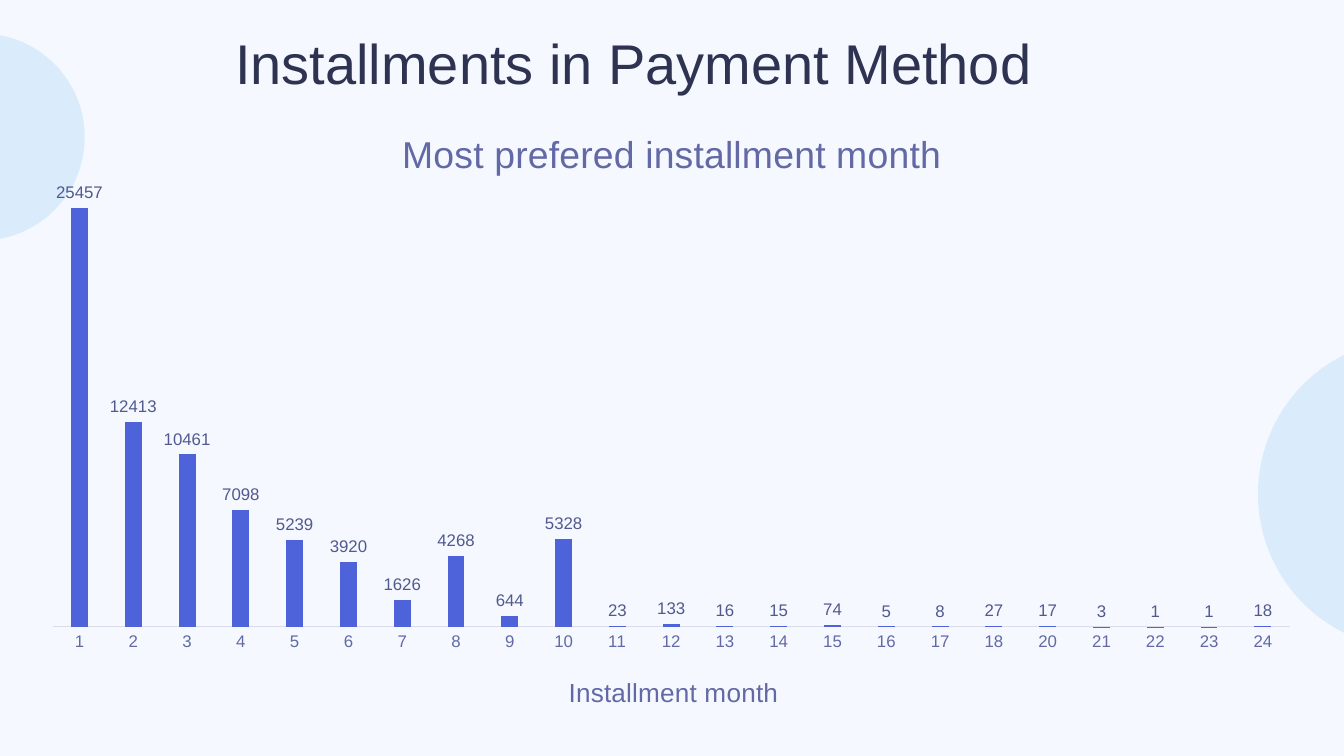
from lxml.etree import SubElement
from pptx import Presentation
from pptx.chart.data import CategoryChartData
from pptx.dml.color import RGBColor
from pptx.enum.chart import XL_CHART_TYPE, XL_LABEL_POSITION, XL_TICK_MARK
from pptx.enum.shapes import MSO_SHAPE
from pptx.enum.text import MSO_ANCHOR, MSO_AUTO_SIZE, PP_ALIGN
from pptx.oxml import parse_xml
from pptx.oxml.ns import nsdecls, qn
from pptx.util import Inches, Pt

FONT = "Arial"
COLORS = {
    "background": "F5F9FF",
    "circle": "76B8F4",
    "title": "2F3352",
    "chart_text": "6269A5",
    "label": "52598F",
    "bar": "4E63D9",
    "axis": "DBDCEA",
}
MONTHS = [month for month in range(1, 25) if month != 19]
ORDERS = [25457, 12413, 10461, 7098, 5239, 3920, 1626, 4268, 644, 5328, 23, 133,
          16, 15, 74, 5, 8, 27, 17, 3, 1, 1, 18]


def color(name):
    return RGBColor.from_string(COLORS[name])


def style_font(font, size, color_name):
    font.name = FONT
    font.size = Pt(size)
    font.bold = False
    font.color.rgb = color(color_name)


def add_circle(slide, left, top, diameter):
    circle = slide.shapes.add_shape(
        MSO_SHAPE.OVAL, Inches(left), Inches(top), Inches(diameter), Inches(diameter))
    circle.shadow.inherit = False
    circle.fill.solid()
    circle.fill.fore_color.rgb = color("circle")
    circle.line.fill.background()
    fill_color = circle.element.spPr.find(qn("a:solidFill"))[0]
    SubElement(fill_color, qn("a:alpha")).set("val", "21000")
    slide.shapes.title.element.addprevious(circle.element)


def set_title(slide, text):
    title = slide.shapes.title
    title.left, title.top = Inches(1.65), Inches(0.11)
    title.width, title.height = Inches(8.43), Inches(0.63)
    frame = title.text_frame
    frame.text = text
    frame.auto_size = MSO_AUTO_SIZE.NONE
    frame.vertical_anchor = MSO_ANCHOR.TOP
    frame.margin_left = frame.margin_right = Inches(0.1)
    frame.margin_top = frame.margin_bottom = Inches(0.1)
    paragraph = frame.paragraphs[0]
    paragraph.alignment = PP_ALIGN.LEFT
    style_font(paragraph.font, 30, "title")


def set_layout(element, index, **values):
    for layout in element.findall(qn("c:layout")):
        element.remove(layout)
    layout = parse_xml(f"<c:layout {nsdecls('c')}><c:manualLayout/></c:layout>")
    for name, value in values.items():
        SubElement(layout[0], qn(f"c:{name}")).set("val", str(value))
    element.insert(index, layout)


def set_chart_title(title, text, size, x, y):
    title.text_frame.text = text
    style_font(title.text_frame.paragraphs[0].font, size, "chart_text")
    set_layout(title._element, 1, xMode="edge", yMode="edge", x=x, y=y)


def style_axes(chart):
    category_axis = chart.category_axis
    category_axis.major_tick_mark = XL_TICK_MARK.NONE
    category_axis.has_major_gridlines = False
    category_axis.format.line.color.rgb = color("axis")
    category_axis.format.line.width = Pt(0.75)
    style_font(category_axis.tick_labels.font, 9, "chart_text")
    set_chart_title(category_axis.axis_title, "Installment month", 14, 0.416, 0.91)
    value_axis = chart.value_axis
    value_axis.visible = False
    value_axis.has_major_gridlines = False
    value_axis.minimum_scale = 0
    value_axis.maximum_scale = 26000


def style_bars(plot):
    plot.gap_width = 219
    plot.overlap = -27
    plot.vary_by_categories = False
    fill = plot.series[0].format.fill
    fill.solid()
    fill.fore_color.rgb = color("bar")
    plot.has_data_labels = True
    labels = plot.data_labels
    labels.show_value = True
    labels.position = XL_LABEL_POSITION.OUTSIDE_END
    style_font(labels.font, 9, "label")


def add_installment_chart(slide):
    data = CategoryChartData()
    data.categories = [str(month) for month in MONTHS]
    data.add_series("Series 1", ORDERS)
    chart = slide.shapes.add_chart(
        XL_CHART_TYPE.COLUMN_CLUSTERED,
        Inches(0.24), Inches(0.77), Inches(9.51), Inches(4.64), data).chart
    style_font(chart.font, 10, "title")
    chart.has_legend = False
    set_chart_title(chart.chart_title, "Most prefered installment month", 20, 0.284, 0.032)
    chart.chart_title.include_in_layout = False
    style_axes(chart)
    style_bars(chart.plots[0])
    plot_area = chart._chartSpace.chart.plotArea
    set_layout(plot_area, 0, layoutTarget="inner", xMode="edge", yMode="edge",
               x=0.016, y=0.153, w=0.968, h=0.686)


def main():
    presentation = Presentation()
    presentation.slide_width = Inches(10)
    presentation.slide_height = presentation.slide_width * 9 // 16
    slide = presentation.slides.add_slide(presentation.slide_layouts[5])
    slide.background.fill.solid()
    slide.background.fill.fore_color.rgb = color("background")
    add_circle(slide, 9.36, 2.52, 2.31)
    add_circle(slide, -0.91, 0.25, 1.54)
    set_title(slide, "Installments in Payment Method")
    add_installment_chart(slide)
    presentation.save("out.pptx")


if __name__ == "__main__":
    main()
